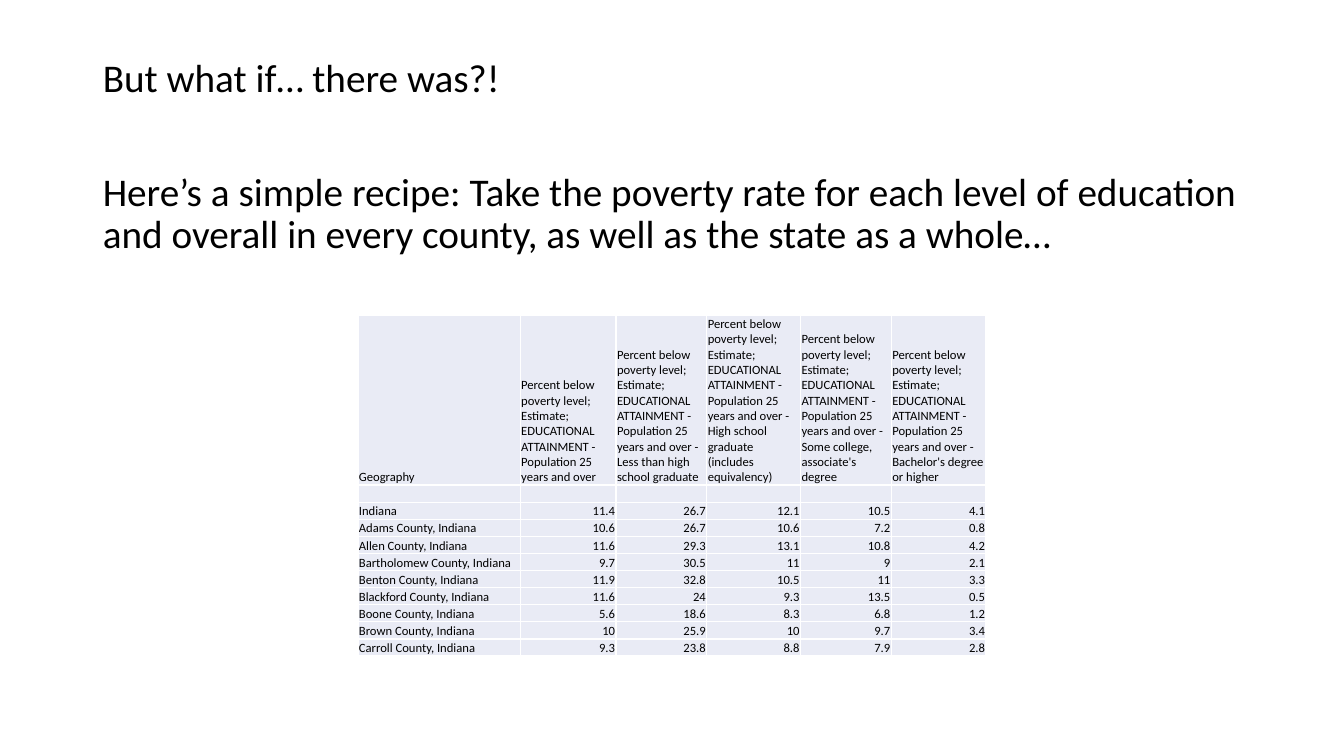
from typing import NamedTuple

from lxml.etree import SubElement
from pptx import Presentation
from pptx.dml.color import RGBColor
from pptx.enum.text import MSO_ANCHOR, MSO_AUTO_SIZE, PP_ALIGN
from pptx.oxml.ns import qn
from pptx.util import Inches, Pt

COLORS = {"text": "000000", "cell": "E9EBF5", "border": "FFFFFF"}
FONT = "Calibri"


class BodyLine(NamedTuple):
    text: str
    space_before: float


class CountyRow(NamedTuple):
    geography: str
    rates: tuple[str, ...]


BODY_LINES = [
    BodyLine("But what if… there was?!", 10),
    BodyLine("Here’s a simple recipe: Take the poverty rate for each level of education "
             "and overall in every county, as well as the state as a whole…", 51),
]

MEASURE = ("Percent below poverty level; Estimate; EDUCATIONAL ATTAINMENT - "
           "Population 25 years and over")
LEVELS = ["Less than high school graduate", "High school graduate (includes equivalency)",
          "Some college, associate's degree", "Bachelor's degree or higher"]
HEADER = ["Geography", MEASURE] + [f"{MEASURE} - {level}" for level in LEVELS]

ROWS = [
    CountyRow("Indiana", ("11.4", "26.7", "12.1", "10.5", "4.1")),
    CountyRow("Adams County, Indiana", ("10.6", "26.7", "10.6", "7.2", "0.8")),
    CountyRow("Allen County, Indiana", ("11.6", "29.3", "13.1", "10.8", "4.2")),
    CountyRow("Bartholomew County, Indiana", ("9.7", "30.5", "11", "9", "2.1")),
    CountyRow("Benton County, Indiana", ("11.9", "32.8", "10.5", "11", "3.3")),
    CountyRow("Blackford County, Indiana", ("11.6", "24", "9.3", "13.5", "0.5")),
    CountyRow("Boone County, Indiana", ("5.6", "18.6", "8.3", "6.8", "1.2")),
    CountyRow("Brown County, Indiana", ("10", "25.9", "10", "9.7", "3.4")),
    CountyRow("Carroll County, Indiana", ("9.3", "23.8", "8.8", "7.9", "2.8")),
]
COL_WIDTHS = [1.61, 0.95, 0.9, 0.93, 0.9, 0.94]
HEADER_HEIGHT, ROW_HEIGHT = 1.64, 0.17


def format_runs(p, size: float) -> None:
    for r in p.runs:
        r.font.name = FONT
        r.font.size = Pt(size)
        r.font.color.rgb = RGBColor.from_string(COLORS["text"])


def add_body(slide) -> None:
    sp = slide.placeholders[1]
    sp.left, sp.top, sp.width, sp.height = map(Inches, (0.92, 0.53, 11.5, 6.22))
    tf = sp.text_frame
    tf.auto_size = MSO_AUTO_SIZE.NONE
    tf.vertical_anchor = MSO_ANCHOR.TOP
    tf.text = "\n".join(line.text for line in BODY_LINES)
    for p, line in zip(tf.paragraphs, BODY_LINES):
        p.line_spacing = 0.9
        p.space_before = Pt(line.space_before)
        format_runs(p, 28)
        # No bullet, no hanging indent
        pPr = p._p.get_or_add_pPr()
        pPr.set("marL", "0")
        pPr.set("indent", "0")
        SubElement(pPr, qn("a:buNone"))


def add_borders(cell) -> None:
    tcPr = cell._tc.get_or_add_tcPr()
    for side in ("a:lnL", "a:lnR", "a:lnT", "a:lnB"):
        ln = SubElement(tcPr, qn(side), w=str(Pt(1)))
        fill = SubElement(ln, qn("a:solidFill"))
        SubElement(fill, qn("a:srgbClr"), val=COLORS["border"])


def fill_cell(cell, text: str, align: PP_ALIGN) -> None:
    cell.margin_left = cell.margin_right = cell.margin_top = Inches(0.01)
    cell.margin_bottom = 0
    cell.vertical_anchor = MSO_ANCHOR.BOTTOM
    add_borders(cell)
    cell.fill.solid()
    cell.fill.fore_color.rgb = RGBColor.from_string(COLORS["cell"])
    p = cell.text_frame.paragraphs[0]
    p.alignment = align
    if text:
        p.text = text
        format_runs(p, 9)
    else:
        # Small type keeps the empty row low
        SubElement(p._p, qn("a:endParaRPr"), sz="900")


def add_poverty_table(slide) -> None:
    grid = [HEADER, [""] * len(HEADER)] + [[row.geography, *row.rates] for row in ROWS]
    heights = [HEADER_HEIGHT] + [ROW_HEIGHT] * (len(grid) - 1)
    table = slide.shapes.add_table(
        len(grid), len(HEADER), Inches(3.55), Inches(3.13),
        Inches(sum(COL_WIDTHS)), Inches(sum(heights))).table
    table.first_row = table.horz_banding = False
    for column, width in zip(table.columns, COL_WIDTHS):
        column.width = Inches(width)
    for i, (texts, height) in enumerate(zip(grid, heights)):
        table.rows[i].height = Inches(height)
        for j, text in enumerate(texts):
            align = PP_ALIGN.RIGHT if i > 0 and j > 0 else PP_ALIGN.LEFT
            fill_cell(table.cell(i, j), text, align)


def main() -> None:
    prs = Presentation()
    prs.slide_width, prs.slide_height = Inches(13.33), Inches(7.5)
    slide = prs.slides.add_slide(prs.slide_layouts[1])

    # The body text carries the heading, so the title placeholder goes
    title = slide.shapes.title
    title.element.getparent().remove(title.element)

    add_body(slide)
    add_poverty_table(slide)
    prs.save("out.pptx")


if __name__ == "__main__":
    main()
